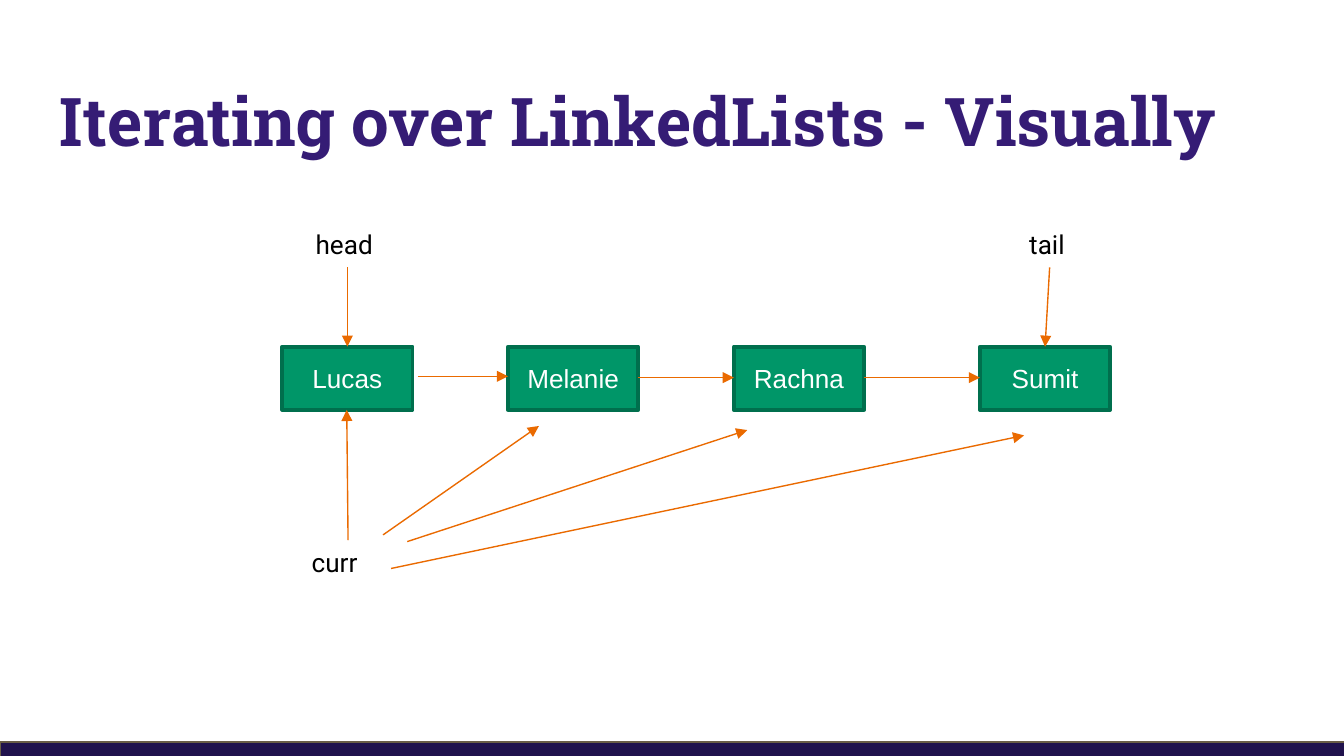
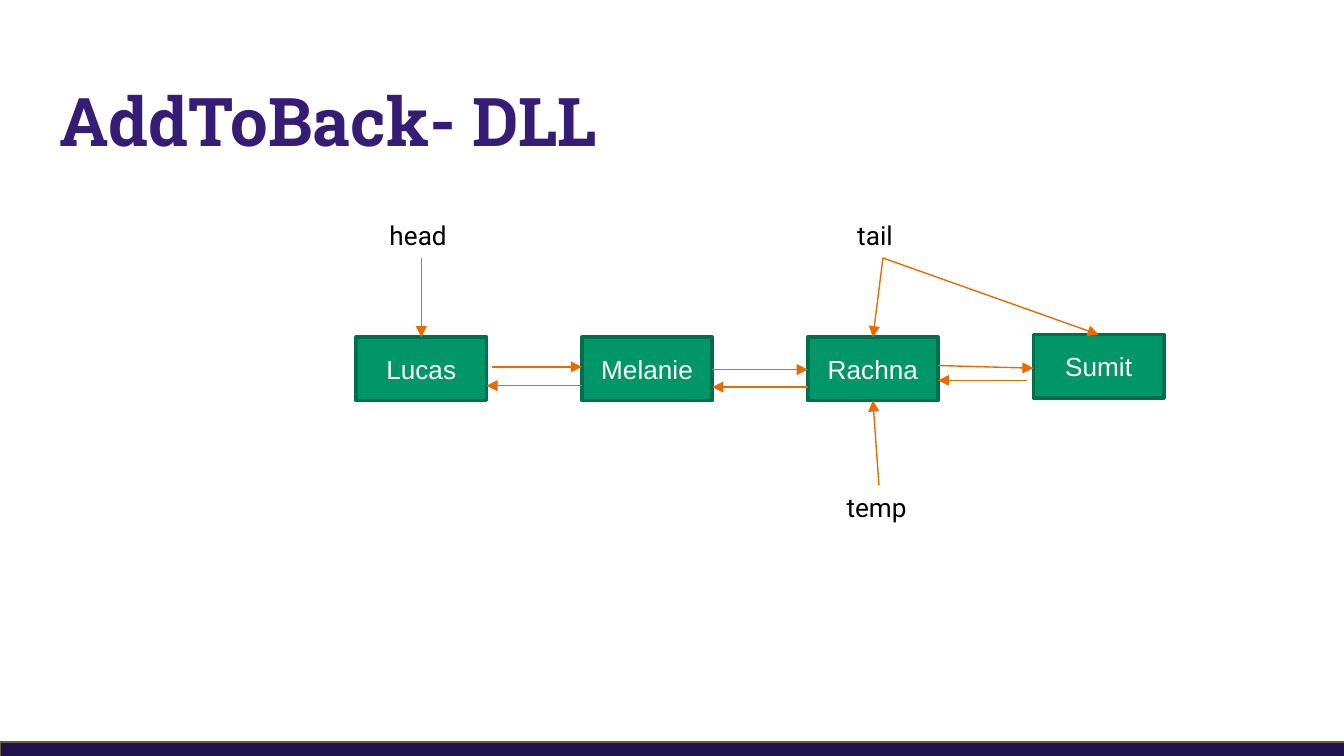
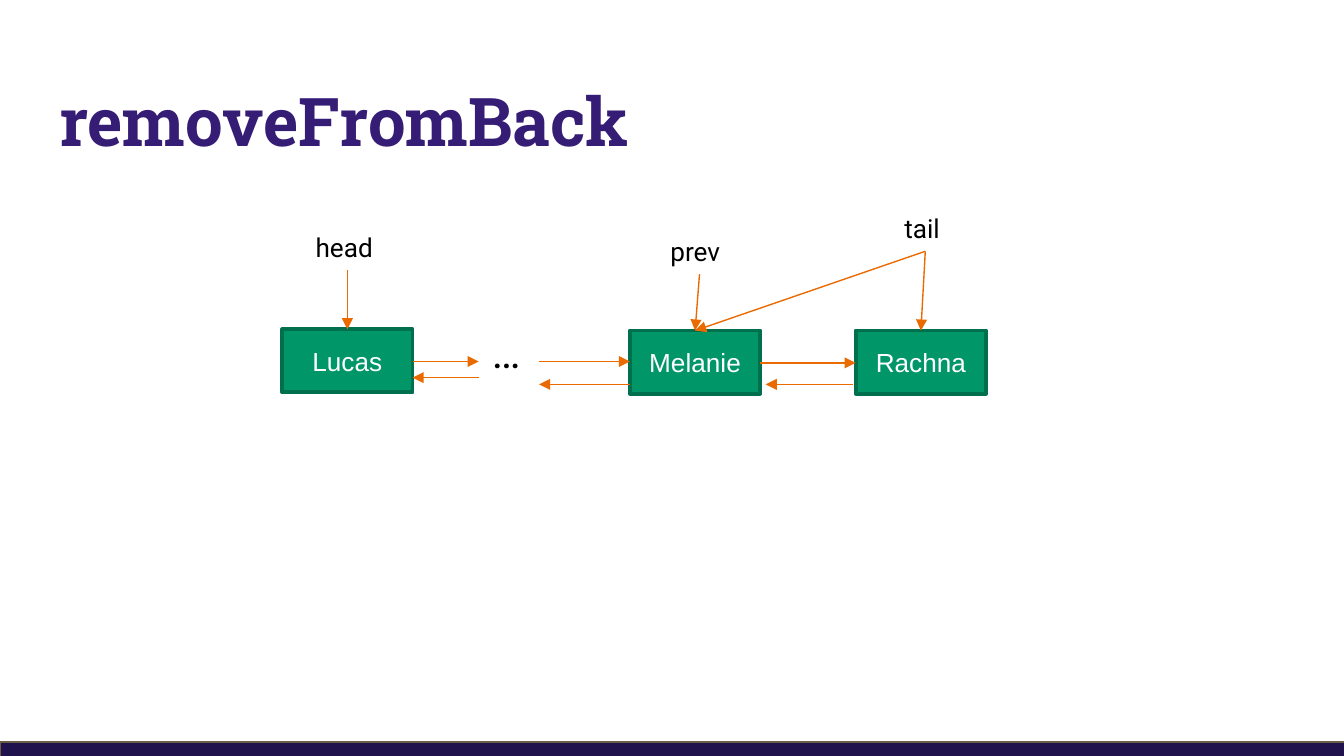
from lxml import etree
from pptx import Presentation
from pptx.dml.color import RGBColor
from pptx.enum.shapes import MSO_CONNECTOR, MSO_SHAPE
from pptx.enum.text import MSO_ANCHOR, MSO_AUTO_SIZE, PP_ALIGN
from pptx.oxml.ns import qn
from pptx.util import Inches, Pt

RECTANGLE, STRAIGHT = MSO_SHAPE.RECTANGLE, MSO_CONNECTOR.STRAIGHT
TOP, MIDDLE = MSO_ANCHOR.TOP, MSO_ANCHOR.MIDDLE
LEFT, CENTER = PP_ALIGN.LEFT, PP_ALIGN.CENTER
NO_FIT = MSO_AUTO_SIZE.NONE
TITLE_ONLY = 5

COLORS = {
    "title": "351C75", "band": "20124D", "band_edge": "695D46",
    "node": "009668", "node_edge": "006F4D", "node_text": "FFFFFF",
    "label": "000000", "arrow": "EA6A00",
}

# Text styles: frame, paragraph and font values
STYLES = {
    "title": {
        "frame": {"vertical_anchor": TOP, "word_wrap": True, "auto_size": NO_FIT,
                  "margin_left": Inches(0.1), "margin_right": Inches(0.1),
                  "margin_top": Inches(0.1), "margin_bottom": Inches(0.1)},
        "paragraph": {"alignment": LEFT, "line_spacing": 1.0},
        "font": {"name": "Roboto Slab", "size": Pt(36), "bold": True},
    },
    "node_text": {
        "frame": {"vertical_anchor": MIDDLE, "word_wrap": True},
        "paragraph": {"alignment": CENTER},
        "font": {"name": "Arial", "size": Pt(14)},
    },
    "label": {
        "frame": {"vertical_anchor": TOP, "word_wrap": True},
        "paragraph": {"alignment": LEFT},
        "font": {"name": "Roboto", "size": Pt(14)},
    },
}

# Node grid, in inches
NODE_W, NODE_H, PITCH = 0.97, 0.47, 1.68
LABEL_H = 0.34
DOTS = "…"
DOTS_W, DOTS_H = 0.28, 0.49

# nodes: name, column, top
# labels: text, left, top, width, nodes pointed at
# links: from, to, start y, end y, start gap, end gap
# steps: free arrows, from x, y to x, y
SLIDES = [
    {
        "title": "Iterating over LinkedLists - Visually",
        "first_left": 2.1,
        "nodes": [("Lucas", 0, 2.58), ("Melanie", 1, 2.58),
                  ("Rachna", 2, 2.58), ("Sumit", 3.09, 2.58)],
        "labels": [("head", 2.25, 1.65, 0.67, ["Lucas"]),
                   ("tail", 7.56, 1.65, 0.5, ["Sumit"]),
                   ("curr", 2.22, 4.02, 0.61, [])],
        "links": [("Lucas", "Melanie", 2.8, 2.8, 0.04, 0),
                  ("Melanie", "Rachna", 2.81, 2.81, 0, 0),
                  ("Rachna", "Sumit", 2.81, 2.81, 0, 0)],
        "steps": [(2.59, 4.02, 2.58, 3.05), (2.85, 3.98, 4.01, 3.17),
                  (3.03, 4.03, 5.56, 3.2), (2.91, 4.23, 7.62, 3.24)],
    },
    {
        "title": "AddToBack- DLL",
        "first_left": 2.65,
        "nodes": [("Lucas", 0, 2.51), ("Melanie", 1, 2.51),
                  ("Rachna", 2, 2.51), ("Sumit", 3, 2.49)],
        "labels": [("head", 2.8, 1.58, 0.67, ["Lucas"]),
                   ("tail", 6.28, 1.58, 0.58, ["Rachna", "Sumit"]),
                   ("temp", 6.2, 3.61, 0.68, ["Rachna"])],
        "links": [("Lucas", "Melanie", 2.73, 2.73, 0.04, 0),
                  ("Melanie", "Rachna", 2.75, 2.75, 0, 0),
                  ("Rachna", "Sumit", 2.72, 2.74, 0, 0),
                  ("Sumit", "Rachna", 2.83, 2.83, 0.05, 0),
                  ("Rachna", "Melanie", 2.88, 2.88, 0, 0),
                  ("Melanie", "Lucas", 2.87, 2.87, 0, 0)],
        "steps": [],
    },
    {
        "title": "removeFromBack",
        "first_left": 2.1,
        "nodes": [("Lucas", 0, 2.45), (DOTS, 0.87, 2.37),
                  ("Melanie", 1.54, 2.46), ("Rachna", 2.54, 2.46)],
        "labels": [("head", 2.25, 1.67, 0.67, ["Lucas"]),
                   ("prev", 4.89, 1.7, 0.63, ["Melanie"]),
                   ("tail", 6.63, 1.53, 0.51, ["Rachna", "Melanie"])],
        "links": [("Lucas", DOTS, 2.69, 2.69, 0, 0),
                  (DOTS, "Melanie", 2.69, 2.69, 0.17, 0),
                  ("Melanie", "Rachna", 2.7, 2.7, 0, 0),
                  ("Rachna", "Melanie", 2.86, 2.86, 0.02, 0.04),
                  ("Melanie", DOTS, 2.86, 2.86, 0, 0.17),
                  (DOTS, "Lucas", 2.81, 2.81, 0, 0)],
        "steps": [],
    },
]


def write(shape, text, style):
    frame = shape.text_frame
    frame.text = text
    paragraph = frame.paragraphs[0]
    font = paragraph.runs[0].font
    for part, target in (("frame", frame), ("paragraph", paragraph), ("font", font)):
        for name, value in STYLES[style][part].items():
            setattr(target, name, value)
    font.color.rgb = RGBColor.from_string(COLORS[style])
    return font


def draw_arrow(shapes, *ends):
    arrow = shapes.add_connector(STRAIGHT, *map(Inches, ends))
    arrow.line.width = Pt(0.75)
    arrow.line.color.rgb = RGBColor.from_string(COLORS["arrow"])
    etree.SubElement(arrow.line._get_or_add_ln(), qn("a:tailEnd"), type="triangle")
    etree.SubElement(arrow._element.spPr, qn("a:effectLst"))


# Widescreen page, 16:9
prs = Presentation()
prs.slide_width = Inches(10)
prs.slide_height = prs.slide_width * 9 // 16

for content in SLIDES:
    slide = prs.slides.add_slide(prs.slide_layouts[TITLE_ONLY])
    shapes = slide.shapes

    # Title
    title = shapes.title
    title.left, title.top = Inches(0.34), Inches(0.49)
    title.width, title.height = Inches(9.32), Inches(0.77)
    write(title, content["title"], "title")

    # Bottom band and list nodes
    boxes = [("", 0, 5.52, 10.12, 0.22, "band", 0.75)]
    spots = {}
    for name, column, top in content["nodes"]:
        left = content["first_left"] + column * PITCH
        if name == DOTS:
            spots[name] = (left, top, DOTS_W, DOTS_H)
        else:
            spots[name] = (left, top, NODE_W, NODE_H)
            boxes.append((name, *spots[name], "node", 2))
    for name, left, top, width, height, color, edge_width in boxes:
        box = shapes.add_shape(RECTANGLE, *map(Inches, (left, top, width, height)))
        box.shadow.inherit = False
        box.fill.solid()
        box.fill.fore_color.rgb = RGBColor.from_string(COLORS[color])
        box.line.color.rgb = RGBColor.from_string(COLORS[color + "_edge"])
        box.line.width = Pt(edge_width)
        if name:
            write(box, name, "node_text")

    # Skipped nodes
    if DOTS in spots:
        dots = shapes.add_textbox(*map(Inches, spots[DOTS]))
        write(dots, DOTS, "label").size = Pt(23)

    # Reference labels, each with arrows to the facing edge of its nodes
    for text, left, top, width, targets in content["labels"]:
        label = shapes.add_textbox(*map(Inches, (left, top, width, LABEL_H)))
        write(label, text, "label")
        for target in targets:
            node_left, node_top, node_w, node_h = spots[target]
            above = top < node_top
            draw_arrow(shapes, left + width / 2, top + LABEL_H if above else top,
                       node_left + node_w / 2, node_top if above else node_top + node_h)

    # Links between neighbours
    for start, end, start_y, end_y, start_gap, end_gap in content["links"]:
        start_left, _, start_w, _ = spots[start]
        end_left, _, end_w, _ = spots[end]
        if start_left < end_left:
            start_x, end_x = start_left + start_w + start_gap, end_left - end_gap
        else:
            start_x, end_x = start_left - start_gap, end_left + end_w + end_gap
        draw_arrow(shapes, start_x, start_y, end_x, end_y)

    # Iteration steps
    for step in content["steps"]:
        draw_arrow(shapes, *step)

prs.save("out.pptx")
